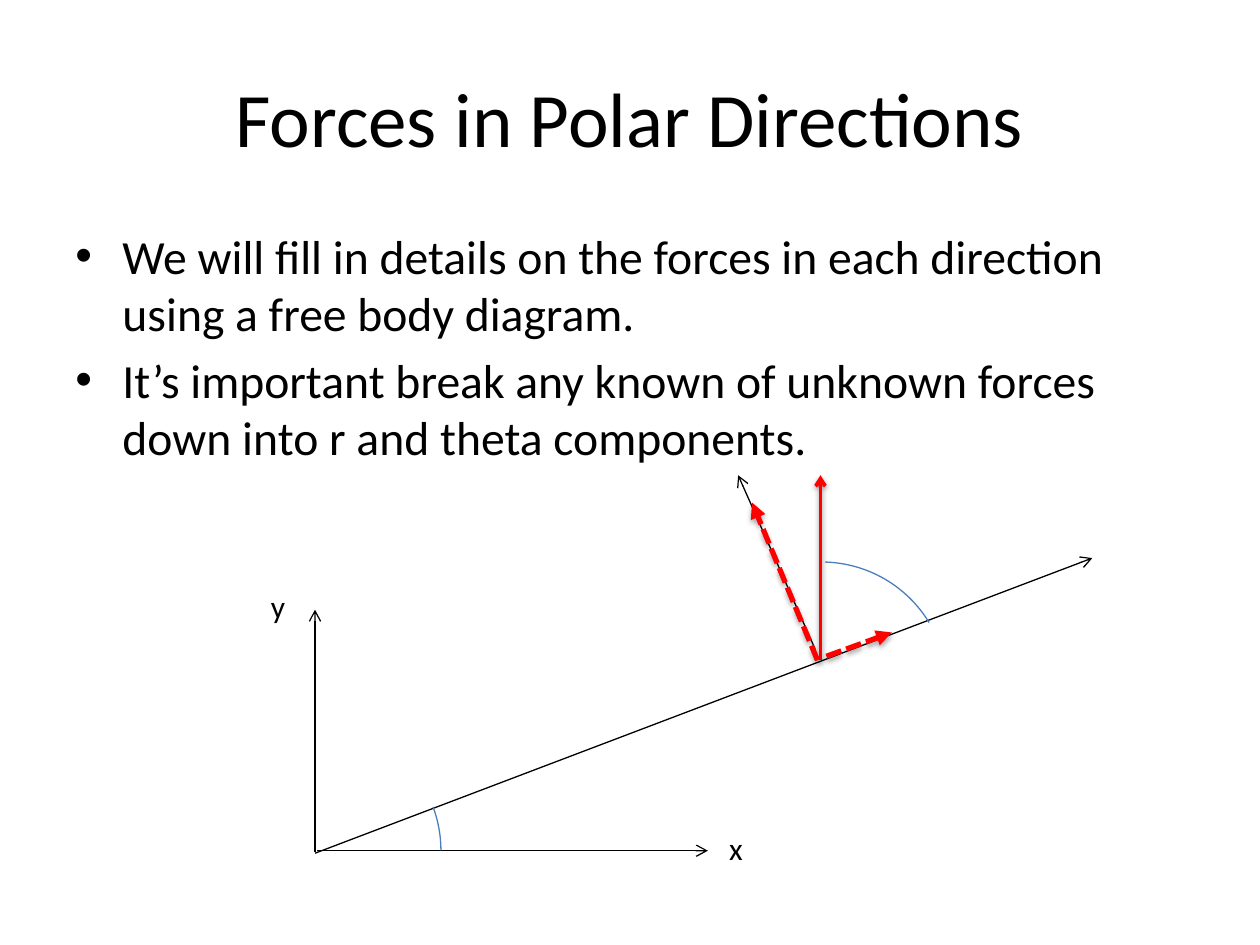
import pptx
import pptx.util
import pptx.dml.color
import pptx.enum.dml
import pptx.enum.shapes
import pptx.enum.text
import pptx.oxml.ns
import lxml.etree

Cm, Pt = pptx.util.Cm, pptx.util.Pt
RGB = pptx.dml.color.RGBColor.from_string
qn = pptx.oxml.ns.qn
PP_ALIGN = pptx.enum.text.PP_ALIGN
ANCHOR = pptx.enum.text.MSO_ANCHOR
COLORS = {"text": "000000", "axis": "000000", "force": "FF0000",
          "arc": "4B7EBC", "shadow": "000000"}


def add_xml(parent, tag, **attrs):
    return lxml.etree.SubElement(parent, qn(tag), attrs)


def add_text(box, lines, size, frame, para=None, bullet=False):
    tf = s.shapes.add_textbox(*[Cm(v) for v in box]).text_frame
    for name, value in frame.items():
        setattr(tf, name, value)
    for i, line in enumerate(lines):
        p = tf.paragraphs[0] if i == 0 else tf.add_paragraph()
        if bullet:
            pPr = p._p.get_or_add_pPr()
            pPr.set("marL", str(Cm(0.95)))
            pPr.set("indent", str(-Cm(0.95)))
            add_xml(pPr, "a:buFont", typeface="Arial")
            add_xml(pPr, "a:buChar", char="•")
        for name, value in (para or {}).items():
            if i or name != "space_before":
                setattr(p, name, value)
        r = p.add_run()
        r.text = line
        for name, value in {"name": "Calibri", "size": Pt(size)}.items():
            setattr(r.font, name, value)
        r.font.color.rgb = RGB(COLORS["text"])


prs = pptx.Presentation()
prs.slide_width, prs.slide_height = Cm(25.4), Cm(19.05)
s = prs.slides.add_slide(prs.slide_layouts[6])

# Title and bullets
add_text((1.27, 0.76, 22.86, 3.18), ["Forces in Polar Directions"], 44,
         {"word_wrap": True, "vertical_anchor": ANCHOR.MIDDLE},
         {"alignment": PP_ALIGN.CENTER})
add_text((1.27, 4.45, 22.86, 4.5), [
    "We will fill in details on the forces in each direction using a free body diagram.",
    "It’s important break any known of unknown forces down into r and theta components.",
], 27.2, {"word_wrap": True}, {"space_before": Pt(5.4)}, bullet=True)

# Axis labels
for label, x, y in [("y", 5.21, 11.71), ("x", 14.45, 16.59)]:
    add_text((x, y, 0.8, 1.02), [label], 18, {"word_wrap": False})

# Axes and forces: from, to, style
STYLES = {
    "axis": {"color": "axis", "width": 0.75, "head": "arrow"},
    "force": {"color": "force", "width": 2, "head": "arrow",
              "shadow": (38, 1.6)},
    "component": {"color": "force", "width": 3, "head": "triangle",
                  "dash": pptx.enum.dml.MSO_LINE.SQUARE_DOT,
                  "shadow": (35, 1.8)},
}
arrows = [
    ((6.35, 17.2), (22.02, 11.25), "axis"),         # r direction
    ((6.4, 17.15), (14.27, 17.15), "axis"),         # x
    ((6.35, 17.17), (6.35, 12.29), "axis"),         # y
    ((16.54, 13.31), (16.54, 9.58), "force"),
    ((16.66, 13.23), (17.98, 12.75), "component"),  # along r
    ((16.43, 13.08), (14.88, 9.58), "axis"),        # theta direction
    ((16.48, 13.31), (15.16, 10.13), "component"),  # along theta
]
for start, end, kind in arrows:
    style = STYLES[kind]
    sp = s.shapes.add_connector(pptx.enum.shapes.MSO_CONNECTOR.STRAIGHT,
                                *[Cm(v) for v in start + end])
    sp.line.color.rgb = RGB(COLORS[style["color"]])
    sp.line.width = Pt(style["width"])
    if "dash" in style:
        sp.line.dash_style = style["dash"]
    add_xml(sp.line._get_or_add_ln(), "a:tailEnd", type=style["head"])
    effects = add_xml(sp._element.spPr, "a:effectLst")
    if "shadow" in style:
        alpha, dist = style["shadow"]
        shadow = add_xml(effects, "a:outerShdw", blurRad=str(Pt(3.1)),
                         dist=str(Pt(dist)), dir=str(90 * 60000),
                         rotWithShape="0")
        clr = add_xml(shadow, "a:srgbClr", val=COLORS["shadow"])
        add_xml(clr, "a:alpha", val=str(alpha * 1000))

# Angle arcs: left, top, start and end in degrees
for x, y, *angles in [(14.02, 11.33, 271.72, 328.72),
                      (3.81, 14.61, 339.65, 359.91)]:
    sp = s.shapes.add_shape(pptx.enum.shapes.MSO_SHAPE.ARC,
                            Cm(x), Cm(y), Cm(5.08), Cm(5.08))
    for i, angle in enumerate(angles):
        sp.adjustments[i] = angle * 0.6
    sp.shadow.inherit = False
    sp.fill.background()
    sp.line.color.rgb = RGB(COLORS["arc"])
    sp.line.width = Pt(0.75)

prs.save("out.pptx")
